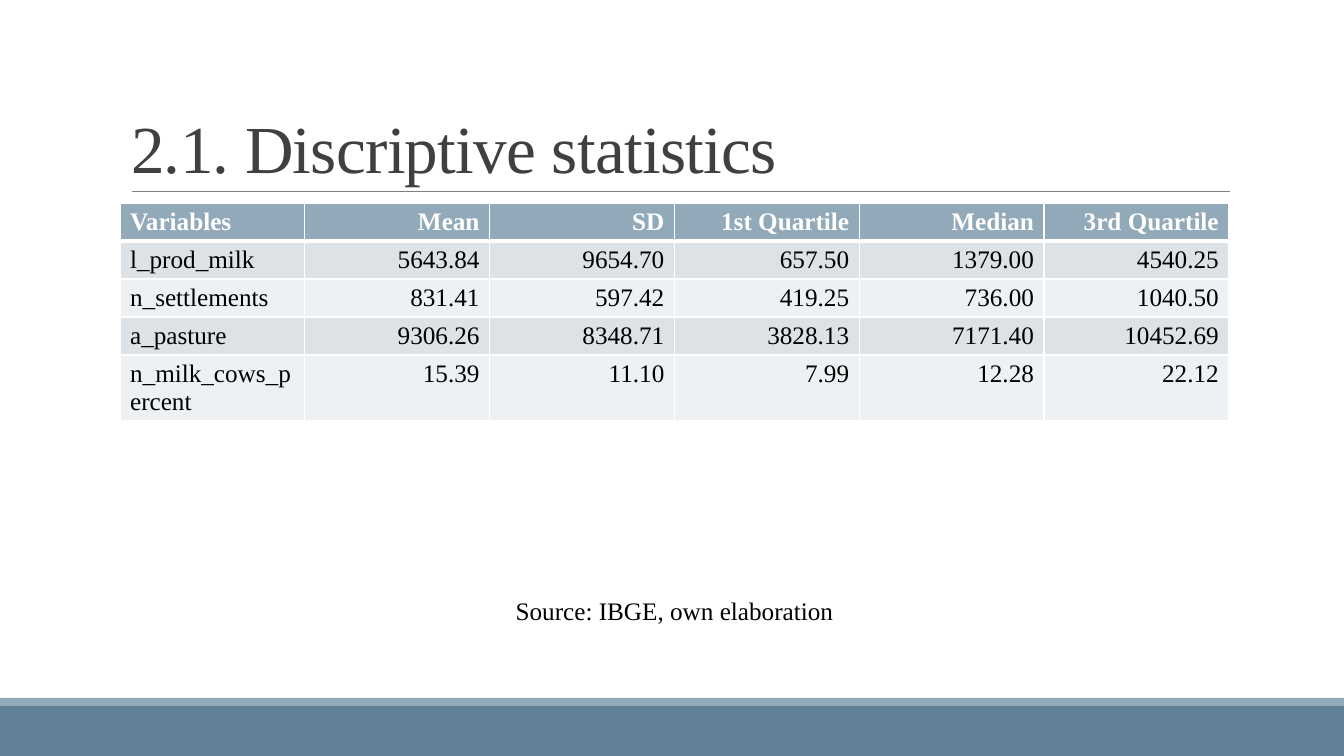
from lxml.etree import SubElement
from pptx import Presentation
from pptx.dml.color import RGBColor
from pptx.enum.shapes import MSO_CONNECTOR, MSO_SHAPE
from pptx.enum.text import MSO_ANCHOR, MSO_AUTO_SIZE, PP_ALIGN
from pptx.oxml.ns import qn
from pptx.util import Emu, Pt

SCALE = 914400 / 100.8
WIDTH, HEIGHT = 1344, 756
FONT = "Times New Roman"
WHITE = RGBColor(0xFF, 0xFF, 0xFF)
BLACK = RGBColor(0x00, 0x00, 0x00)
TITLE_GRAY = RGBColor(0x40, 0x40, 0x40)
RULE_GRAY = RGBColor(0x80, 0x80, 0x80)
DARK_BLUE = RGBColor(0x61, 0x81, 0x97)
LIGHT_BLUE = RGBColor(0x92, 0xA9, 0xB9)
BANDS = (RGBColor(0xDC, 0xE2, 0xE6), RGBColor(0xEE, 0xF1, 0xF3))

STATISTICS = (
    ("Variables", "Mean", "SD", "1st Quartile", "Median", "3rd Quartile"),
    ("l_prod_milk", "5643.84", "9654.70", "657.50", "1379.00", "4540.25"),
    ("n_settlements", "831.41", "597.42", "419.25", "736.00", "1040.50"),
    ("a_pasture", "9306.26", "8348.71", "3828.13", "7171.40", "10452.69"),
    ("n_milk_cows_percent", "15.39", "11.10", "7.99", "12.28", "22.12"),
)
ROW_HEIGHTS = (38, 38, 38, 38, 65)


def px(*lengths):
    """Turn pixel lengths into a list of EMU lengths."""
    return [Emu(round(length * SCALE)) for length in lengths]


def write(frame, text, size=18, color=BLACK, bold=False, align=PP_ALIGN.LEFT):
    """Write one formatted paragraph into a text frame and return it."""
    para = frame.paragraphs[0]
    para.alignment = align
    span = para.add_run()
    span.text = text
    span.font.name = FONT
    span.font.size = Pt(size)
    span.font.bold = bold
    span.font.color.rgb = color
    return para


def add_bar(page, top, height, color):
    """Add a full-width footer bar."""
    bar = page.shapes.add_shape(MSO_SHAPE.RECTANGLE, *px(0, top, WIDTH, height))
    bar.shadow.inherit = False
    bar.fill.solid()
    bar.fill.fore_color.rgb = color
    bar.line.fill.background()


def add_rule(page, left, right, y):
    """Add the thin horizontal line under the title."""
    rule = page.shapes.add_connector(MSO_CONNECTOR.STRAIGHT, *px(left, y, right, y))
    rule.line.color.rgb = RULE_GRAY
    rule.line.width = Pt(0.5)
    SubElement(rule._element.spPr, qn("a:effectLst"))


def set_title(page, text):
    """Place and format the title placeholder."""
    title = page.shapes.title
    title.left, title.top, title.width, title.height = px(121, 31, 1109, 161)
    frame = title.text_frame
    frame.auto_size = MSO_AUTO_SIZE.NONE
    frame.vertical_anchor = MSO_ANCHOR.BOTTOM
    para = write(frame, text, size=48, color=TITLE_GRAY)
    para.line_spacing = 0.85
    para.runs[0].font._element.set("spc", "-50")


def add_borders(cell, top, bottom):
    """Draw white borders of the given point widths around a cell."""
    properties = cell._tc.get_or_add_tcPr()
    for side, width in (("L", 1), ("R", 1), ("T", top), ("B", bottom)):
        line = SubElement(properties, qn(f"a:ln{side}"), w=str(Pt(width)))
        fill = SubElement(line, qn("a:solidFill"))
        SubElement(fill, qn("a:srgbClr"), val=str(WHITE))


def add_statistics(page):
    """Add the table with a header row and banded body rows."""
    columns = len(STATISTICS[0])
    area = px(120, 203, 1109, sum(ROW_HEIGHTS))
    table = page.shapes.add_table(len(STATISTICS), columns, *area).table
    for row, (values, height) in enumerate(zip(STATISTICS, ROW_HEIGHTS)):
        table.rows[row].height = px(height)[0]
        header = row == 0
        for column, value in enumerate(values):
            cell = table.cell(row, column)
            add_borders(cell, 3 if row == 1 else 1, 3 if header else 1)
            cell.fill.solid()
            cell.fill.fore_color.rgb = LIGHT_BLUE if header else BANDS[(row - 1) % 2]
            write(cell.text_frame, value, bold=header,
                  color=WHITE if header else BLACK,
                  align=PP_ALIGN.RIGHT if column else PP_ALIGN.LEFT)


def add_source(page, text):
    """Add the centred source line."""
    box = page.shapes.add_textbox(*px(120, 590, 1109, 56))
    box.text_frame.word_wrap = True
    write(box.text_frame, text, align=PP_ALIGN.CENTER)


def main():
    """Build and save the deck."""
    deck = Presentation()
    deck.slide_width, deck.slide_height = px(WIDTH, HEIGHT)
    page = deck.slides.add_slide(deck.slide_layouts[5])
    add_bar(page, 706, 50, DARK_BLUE)
    add_bar(page, 698, 8, LIGHT_BLUE)
    add_rule(page, 132, 1230, 191)
    set_title(page, "2.1. Discriptive statistics")
    add_statistics(page)
    add_source(page, "Source: IBGE, own elaboration")
    deck.save("out.pptx")


main()
